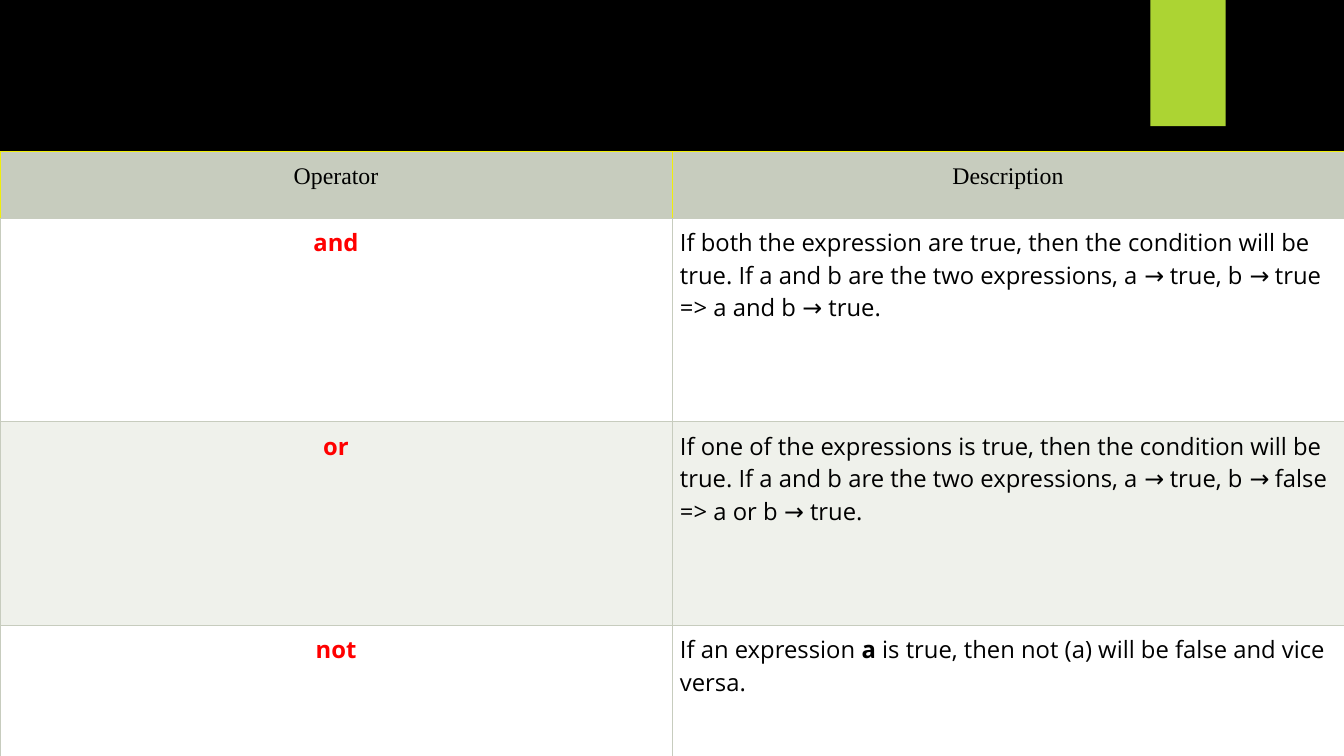
from dataclasses import dataclass
from lxml.etree import SubElement
from pptx import Presentation
from pptx.dml.color import RGBColor
from pptx.enum.shapes import MSO_SHAPE
from pptx.enum.text import PP_ALIGN
from pptx.oxml.ns import qn
from pptx.util import Cm, Pt


@dataclass(frozen=True)
class Theme:
    background: str = "000000"
    accent: str = "ACD433"
    header: str = "C7CCBE"
    header_edge: str = "F0EE0D"
    bands: tuple = ("FFFFFF", "EFF1EB")
    text: str = "000000"
    keyword: str = "FF0000"
    header_font: str = "Times New Roman"
    body_font: str = "Open Sans"
    size: float = 17
    edge_width: float = 0.75


THEME = Theme()
HEADINGS = ("Operator", "Description")
OPERATORS = [
    ("and", [("If both the expression are true, then the condition will be true. "
              "If a and b are the two expressions, a → true, b → true => a and b → true.", False)]),
    ("or", [("If one of the expressions is true, then the condition will be true. "
             "If a and b are the two expressions, a → true, b → false => a or b → true.", False)]),
    ("not", [("If an expression\u00a0", False), ("a", True),
             ("\u00a0is true, then not (a) will be false and vice versa.", False)]),
]
WIDTH, HEIGHT = Cm(33.87), Cm(19.05)
TABLE_TOP = Cm(3.81)
ROW_HEIGHTS = [Cm(1.69), Cm(5.13), Cm(5.13), Cm(3.29)]
HEADER_INSET, BODY_INSET = Cm(0.3), Cm(0.2)


def paint(fill, color):
    fill.solid()
    fill.fore_color.rgb = RGBColor.from_string(color)


def draw_edges(cell, side_color, bottom_color):
    properties = cell._tc.get_or_add_tcPr()
    for side in "LRTB":
        edge = SubElement(properties, qn(f"a:ln{side}"), w=str(Pt(THEME.edge_width)))
        solid = SubElement(edge, qn("a:solidFill"))
        SubElement(solid, qn("a:srgbClr"), val=bottom_color if side == "B" else side_color)


def write_cell(cell, runs, font, color, fill, inset, edge, centered):
    cell.margin_left = cell.margin_right = inset
    cell.margin_top = cell.margin_bottom = inset
    draw_edges(cell, edge, THEME.header)
    paint(cell.fill, fill)
    paragraph = cell.text_frame.paragraphs[0]
    paragraph.alignment = PP_ALIGN.CENTER if centered else PP_ALIGN.LEFT
    for words, bold in runs:
        run = paragraph.add_run()
        run.text = words
        run.font.name = font
        run.font.size = Pt(THEME.size)
        run.font.bold = bold
        run.font.color.rgb = RGBColor.from_string(color)


deck = Presentation()
deck.slide_width, deck.slide_height = WIDTH, HEIGHT
slide = deck.slides.add_slide(deck.slide_layouts[6])
paint(slide.background.fill, THEME.background)

ribbon = slide.shapes.add_shape(MSO_SHAPE.RECTANGLE, Cm(28.99), 0, Cm(1.9), Cm(3.18))
ribbon.shadow.inherit = False
paint(ribbon.fill, THEME.accent)
ribbon.line.fill.background()

operators = slide.shapes.add_table(
    len(OPERATORS) + 1, len(HEADINGS), 0, TABLE_TOP, WIDTH, sum(ROW_HEIGHTS)).table
for row, height in zip(operators.rows, ROW_HEIGHTS):
    row.height = height

for column, heading in enumerate(HEADINGS):
    write_cell(operators.cell(0, column), [(heading, False)], THEME.header_font, THEME.text,
               THEME.header, HEADER_INSET, THEME.header_edge, True)

for index, (keyword, description) in enumerate(OPERATORS):
    band = THEME.bands[index % len(THEME.bands)]
    columns = (([(keyword, True)], THEME.keyword, True), (description, THEME.text, False))
    for column, (runs, color, centered) in enumerate(columns):
        write_cell(operators.cell(index + 1, column), runs, THEME.body_font, color,
                   band, BODY_INSET, THEME.header, centered)

deck.save("out.pptx")
